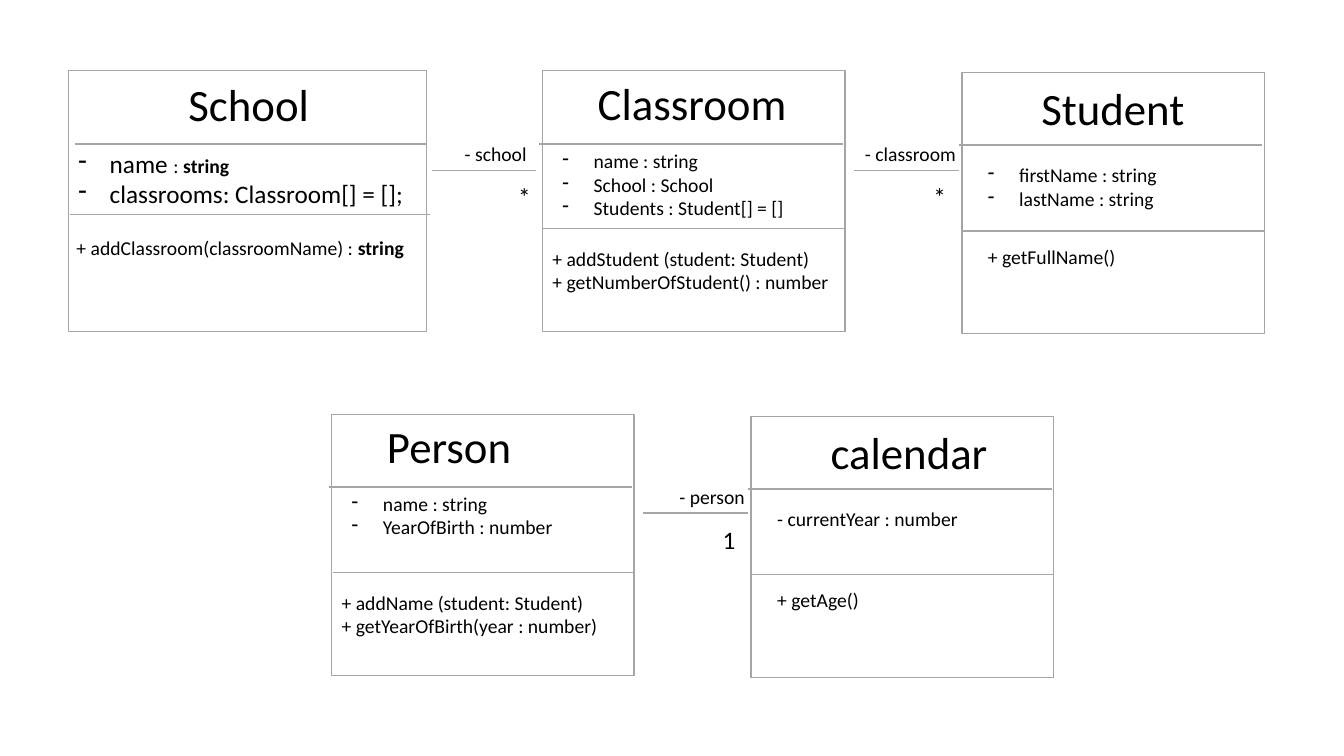
import lxml.etree
import pptx
import pptx.util
import pptx.dml.color
import pptx.enum.shapes
import pptx.enum.text
import pptx.oxml.ns

Inches = pptx.util.Inches
COLORS = {"text": "000000", "fill": "FFFFFF", "border": "A5A5A5", "rule": "A6A6A6"}
FONT = "Calibri"
BOX_HEIGHT = 2.59
LINK_WIDTH = 1.04


# Each text line is a list of (text, size, bold) spans.
def plain(*lines):
    return [[(line, 14, False)] for line in lines]


# Positions of title, fields, methods and rules are offsets from the box corner.
# Text places are (left, top, width, height); rules are (left, top, width).
CLASSES = [
    {"at": (0.68, 0.7), "width": 3.55,
     "title": ("School", (1.09, 0.01, 1.41, 0.64)),
     "fields": ([[("name ", 18, False), (": ", 14, False), ("string", 14, True)],
                 [("classrooms: Classroom[] = [];", 18, False)]],
                (0, 0.72, 3.61, 0.94)),
     "methods": ([[("+ addClassroom(classroomName) : ", 14, False), ("string", 14, True)]],
                 (-0.02, 1.59, 3.45, 0.34)),
     "rules": [(0.06, 0.73, 3.49), (0.01, 1.43, 3.57)]},
    {"at": (5.38, 0.7), "width": 3,
     "title": ("Classroom", (0.45, 0, 2.09, 0.64)),
     "fields": (plain("name : string", "School : School", "Students : Student[] = []"),
                (0.1, 0.73, 2.46, 0.81)),
     "methods": (plain("+ addStudent (student: Student)", "+ getNumberOfStudent() : number"),
                 (0, 1.7, 3.01, 0.57)),
     "rules": [(-0.03, 0.73, 3.01), (0.01, 1.57, 2.99)]},
    {"at": (9.54, 0.72), "width": 3,
     "title": ("Student", (0.69, 0.03, 1.64, 0.64)),
     "fields": (plain("firstName : string", "lastName : string"), (0.16, 0.85, 1.9, 0.57)),
     "methods": (plain("+ getFullName()"), (0.16, 1.66, 1.53, 0.34)),
     "rules": [(-0.03, 0.72, 3.01), (0.01, 1.57, 2.99)]},
    {"at": (3.29, 4.11), "width": 3,
     "title": ("Person", (0.45, 0, 1.44, 0.64)),
     "fields": (plain("name : string", "YearOfBirth : number"), (0.1, 0.72, 2.21, 0.57)),
     "methods": (plain("+ addName (student: Student)", "+ getYearOfBirth(year : number)"),
                 (0, 1.7, 2.76, 0.57)),
     "rules": [(-0.03, 0.72, 3.01), (0.01, 1.57, 2.99)]},
    {"at": (7.45, 4.13), "width": 3, "bullets": False,
     "title": ("calendar", (0.69, 0.03, 1.77, 0.64)),
     "fields": (plain("- currentYear : number"), (0.16, 0.85, 2.01, 0.34)),
     "methods": (plain("+ getAge()"), (0.16, 1.65, 1.02, 0.34)),
     "rules": [(-0.03, 0.72, 3.01), (0.01, 1.57, 2.99)]},
]

# Line start, role name with its offset and width, multiplicity with its offset
LINKS = [
    ((4.28, 1.69), ("- school", 0.23, 0.82), ("*", 0.76)),
    ((8.47, 1.69), ("- classroom", 0.01, 1.11), ("*", 0.69)),
    ((6.38, 5.09), ("- person", 0.26, 0.86), ("1", 0.69)),
]

deck = pptx.Presentation()
deck.slide_width, deck.slide_height = Inches(13.33), Inches(7.5)
page = deck.slides.add_slide(deck.slide_layouts[6])


def color(name):
    return pptx.dml.color.RGBColor.from_string(COLORS[name])


def add_rule(left, top, width):
    rule = page.shapes.add_connector(
        pptx.enum.shapes.MSO_CONNECTOR.STRAIGHT,
        Inches(left), Inches(top), Inches(left + width), Inches(top))
    rule.line.color.rgb = color("rule")
    rule.line.width = pptx.util.Pt(1)
    lxml.etree.SubElement(rule._element.spPr, pptx.oxml.ns.qn("a:effectLst"))


def add_dash(para):
    properties = para._p.get_or_add_pPr()
    for name, length in {"marL": 0.31, "indent": -0.31}.items():
        properties.set(name, str(Inches(length)))
    lxml.etree.SubElement(properties, pptx.oxml.ns.qn("a:buChar"), char="-")


def add_text(lines, place, bullets=False, wrap=False):
    box = page.shapes.add_textbox(*map(Inches, place))
    frame = box.text_frame
    frame.word_wrap = wrap
    frame.auto_size = pptx.enum.text.MSO_AUTO_SIZE.SHAPE_TO_FIT_TEXT
    for index, line in enumerate(lines):
        para = frame.add_paragraph() if index else frame.paragraphs[0]
        if bullets:
            add_dash(para)
        for text, size, bold in line:
            span = para.add_run()
            span.text = text
            span.font.color.rgb = color("text")
            formats = {"name": FONT, "size": pptx.util.Pt(size), "bold": bold}
            for name, value in formats.items():
                setattr(span.font, name, value)


def add_class(entry):
    left, top = entry["at"]

    def shift(place):
        return (left + place[0], top + place[1], *place[2:])

    # Frame
    box = page.shapes.add_shape(
        pptx.enum.shapes.MSO_SHAPE.RECTANGLE,
        *map(Inches, (left, top, entry["width"], BOX_HEIGHT)))
    box.shadow.inherit = False
    box.fill.solid()
    box.fill.fore_color.rgb = color("fill")
    box.line.color.rgb = color("border")
    box.line.width = pptx.util.Pt(1)

    # Title, fields, methods and the rules between them
    title, place = entry["title"]
    add_text([[(title, 32, False)]], shift(place))
    lines, place = entry["fields"]
    add_text(lines, shift(place), bullets=entry.get("bullets", True), wrap=title == "School")
    lines, place = entry["methods"]
    add_text(lines, shift(place))
    for rule in entry["rules"]:
        add_rule(*shift(rule))


# Class boxes
for entry in CLASSES:
    add_class(entry)

# Associations
for (left, top), (role, role_shift, role_width), (count, count_shift) in LINKS:
    add_rule(left, top, LINK_WIDTH)
    add_text([[(role, 14, False)]], (left + role_shift, top - 0.33, role_width, 0.34))
    add_text([[(count, 18, False)]], (left + count_shift, top + 0.06, 0.33, 0.4))

deck.save("out.pptx")
